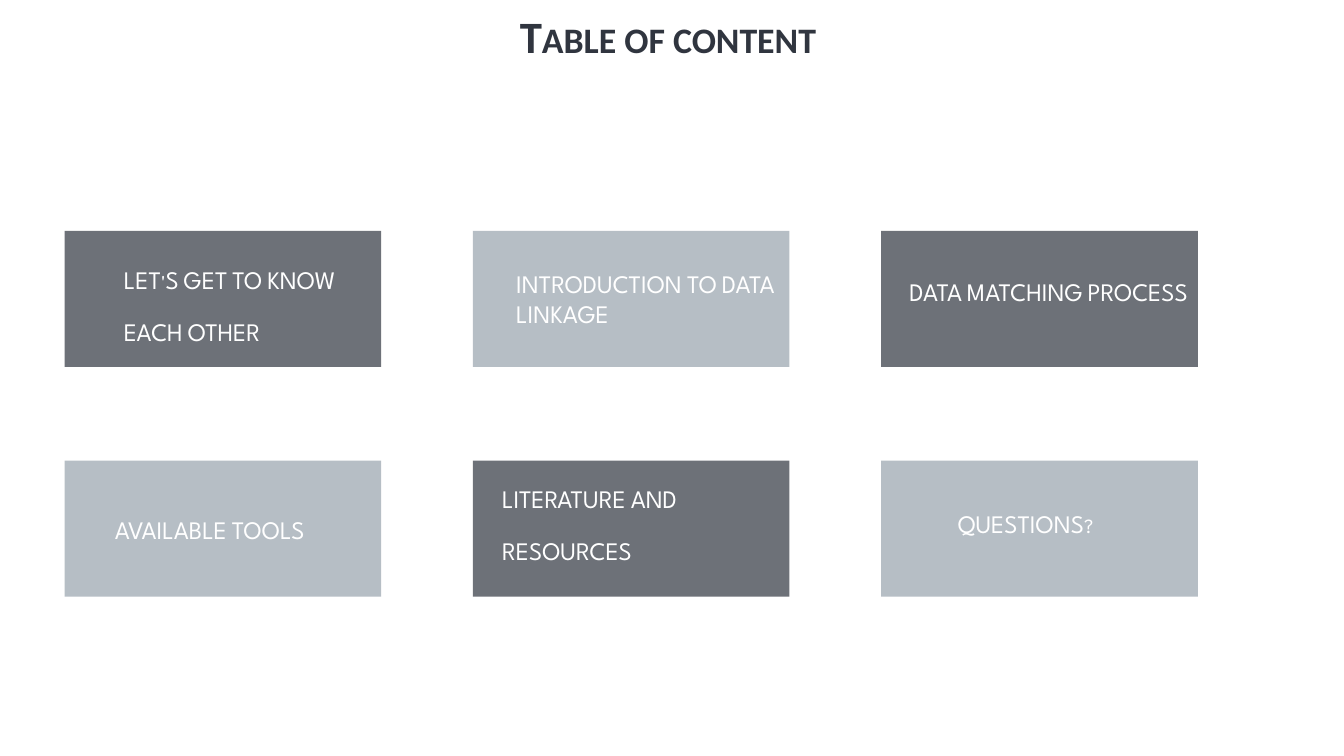
import pptx
import pptx.util
from lxml import etree
from pptx.dml.color import RGBColor
from pptx.enum.shapes import MSO_SHAPE
from pptx.enum.text import MSO_ANCHOR, MSO_AUTO_SIZE, PP_ALIGN
from pptx.oxml.ns import qn
from pptx.util import Inches

DARK = RGBColor(0x30, 0x35, 0x3F)
LIGHT = RGBColor(0x98, 0xA3, 0xAD)
WHITE = RGBColor(0xFF, 0xFF, 0xFF)

CARD_LEFT, CARD_TOP = 0.64, 2.29
CARD_WIDTH, CARD_HEIGHT = 3.14, 1.35
COLUMN_STEP, ROW_STEP = 4.05, 2.28

# Reading order: left, top, width, height of the label, then its paragraphs
TOPICS = [
    (1.23, 2.62, 3.36, 0.83, ["LET'S GET TO KNOW", "EACH OTHER"]),
    (5.12, 2.66, 2.57, 0.61, ["INTRODUCTION TO DATA LINKAGE"]),
    (9.02, 2.74, 2.94, 0.61, ["DATA MATCHING PROCESS"]),
    (1.14, 5.10, 3.41, 0.30, ["AVAILABLE TOOLS"]),
    (4.98, 4.79, 3.36, 0.83, ["LITERATURE AND", "RESOURCES"]),
    (9.50, 5.04, 2.67, 0.30, ["QUESTIONS?"]),
]


def prepare_frame(frame):
    """Wrap the text, anchor it at the top and remove the margins."""
    frame.word_wrap = True
    frame.auto_size = MSO_AUTO_SIZE.NONE
    frame.vertical_anchor = MSO_ANCHOR.TOP
    frame.margin_left = frame.margin_right = 0
    frame.margin_top = frame.margin_bottom = 0


def add_small_caps(para, text, font_name, size, color):
    span = para.add_run()
    span.text = text
    span.font.name = font_name
    span.font.size = pptx.util.Pt(size)
    span.font.color.rgb = color
    span.font._element.set("cap", "small")
    return span


deck = pptx.Presentation()
deck.slide_width = Inches(13.33)
deck.slide_height = Inches(7.5)
page = deck.slides.add_slide(deck.slide_layouts[5])

title = page.shapes.title
title.left, title.top = Inches(3.67), Inches(0.09)
title.width, title.height = Inches(5.99), Inches(0.54)
prepare_frame(title.text_frame)
title_para = title.text_frame.paragraphs[0]
title_para.alignment = PP_ALIGN.CENTER
title_span = add_small_caps(title_para, "Table of content ", "Calibri", 32, DARK)
title_span.font.bold = True

for index, (left, top, width, height, lines) in enumerate(TOPICS):
    row, column = divmod(index, 3)
    card = page.shapes.add_shape(
        MSO_SHAPE.RECTANGLE,
        Inches(CARD_LEFT + column * COLUMN_STEP),
        Inches(CARD_TOP + row * ROW_STEP),
        Inches(CARD_WIDTH),
        Inches(CARD_HEIGHT),
    )
    card.shadow.inherit = False
    card.line.fill.background()
    card.fill.solid()
    card.fill.fore_color.rgb = LIGHT if index % 2 else DARK
    fill_color = card._element.spPr.find(qn("a:solidFill"))[0]
    etree.SubElement(fill_color, qn("a:alpha")).set("val", "70000")

    label = page.shapes.add_textbox(
        Inches(left), Inches(top), Inches(width), Inches(height)
    )
    frame = label.text_frame
    prepare_frame(frame)
    for number, line in enumerate(lines):
        para = frame.add_paragraph() if number else frame.paragraphs[0]
        para.space_before = pptx.util.Pt(16)
        add_small_caps(para, line, "League Spartan", 18, WHITE)

deck.save("out.pptx")
